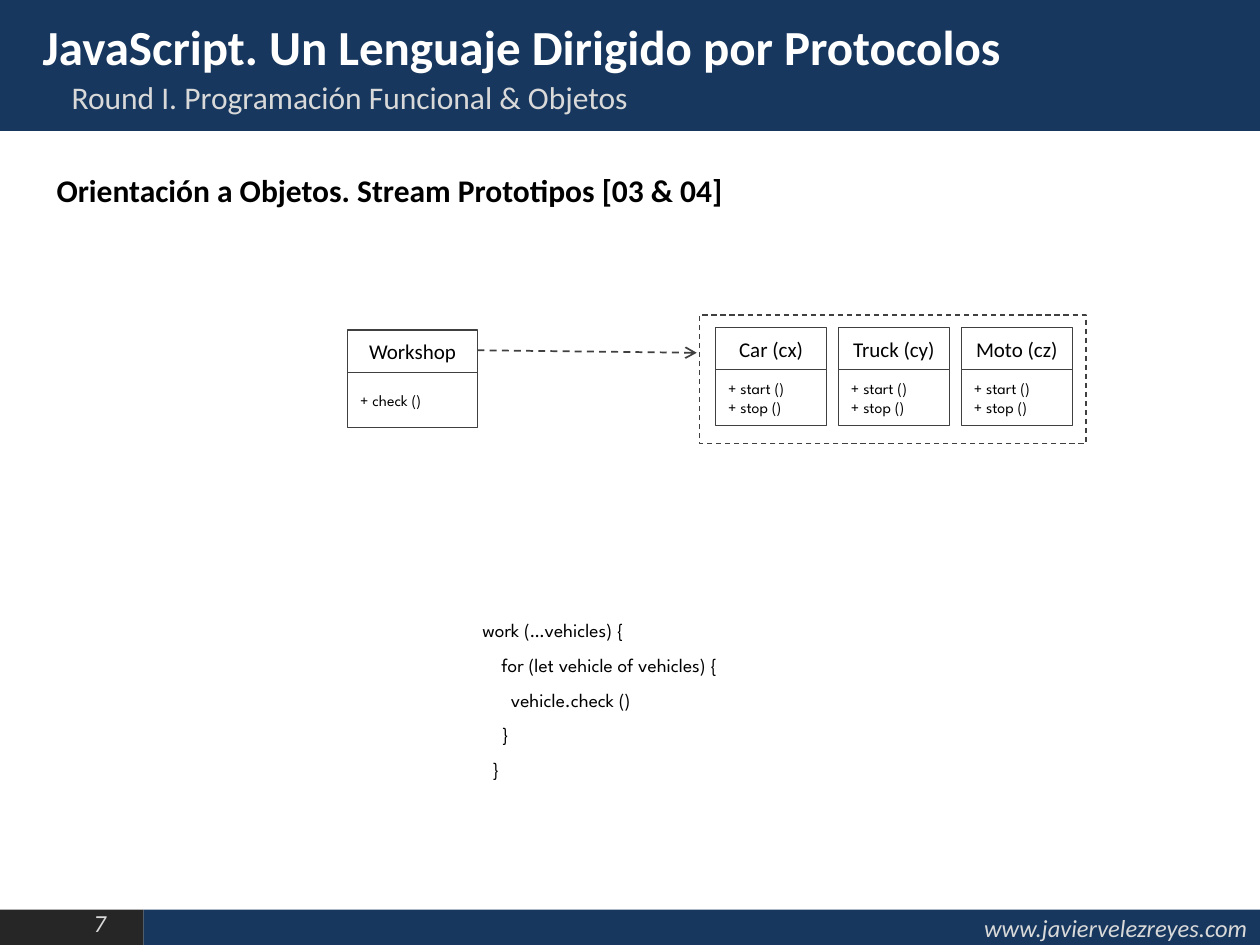
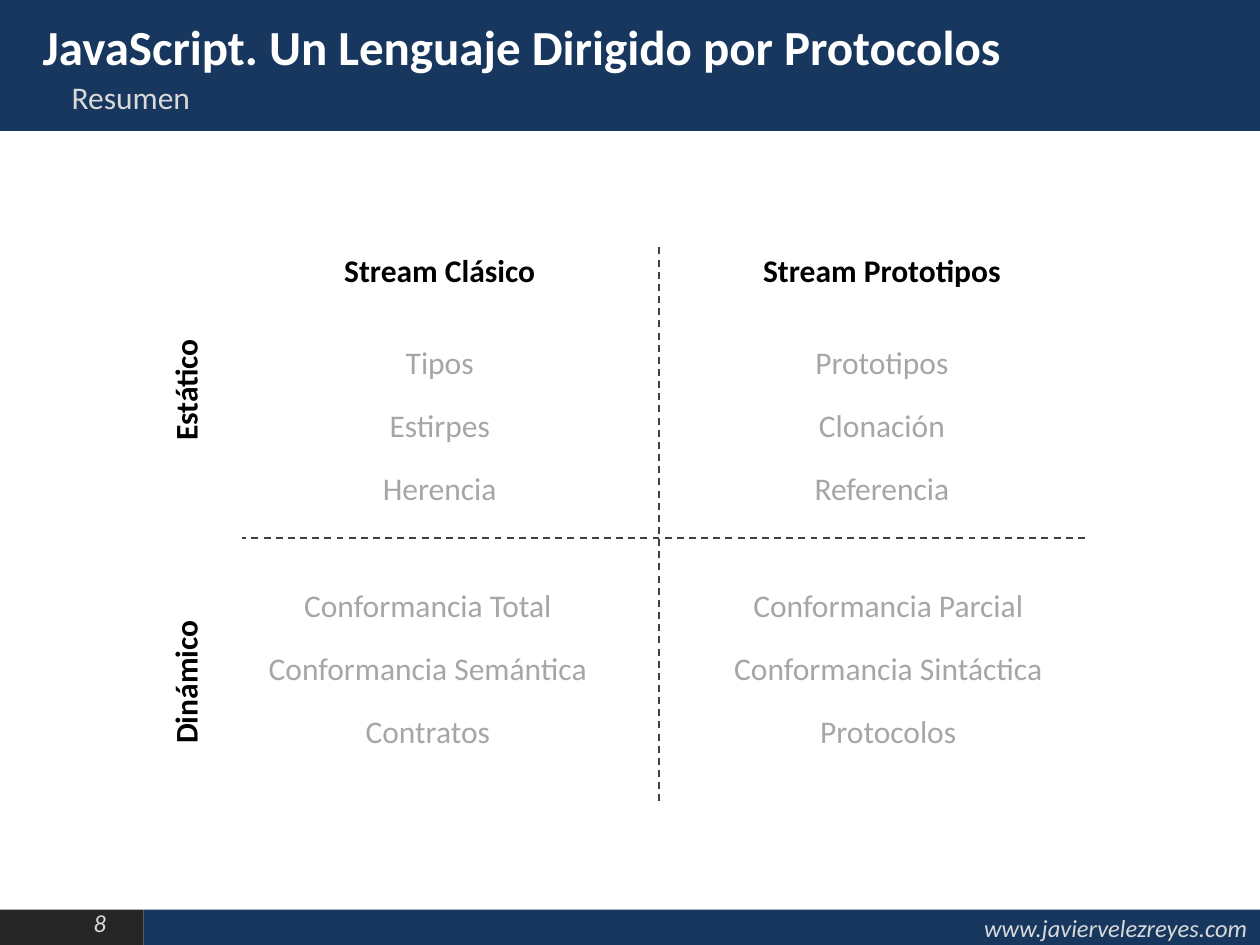
from lxml import etree
from pptx import Presentation
from pptx.dml.color import RGBColor
from pptx.enum.dml import MSO_LINE
from pptx.enum.shapes import MSO_CONNECTOR, MSO_SHAPE
from pptx.enum.text import MSO_ANCHOR, PP_ALIGN
from pptx.oxml.ns import qn
from pptx.util import Inches, Pt

LEFT, CENTER, RIGHT = PP_ALIGN.LEFT, PP_ALIGN.CENTER, PP_ALIGN.RIGHT
TOP, MIDDLE = MSO_ANCHOR.TOP, MSO_ANCHOR.MIDDLE
DASH = MSO_LINE.DASH
RECT = MSO_SHAPE.RECTANGLE
STRAIGHT = MSO_CONNECTOR.STRAIGHT

WIDTH, HEIGHT = Inches(10), Inches(7.5)
COLUMNS, ROWS = 100, 75

COLORS = {
    "navy": "17375E",
    "dark": "262626",
    "line": "404040",
    "pale": "D9D9D9",
    "muted": "A6A6A6",
    "black": "000000",
    "white": "FFFFFF",
}
BODY_FONT, CODE_FONT = "Calibri", "League Spartan"

TITLE = "JavaScript. Un Lenguaje Dirigido por Protocolos"
SITE = "www.javiervelezreyes.com"

CODE = [
    "work (…vehicles) {",
    "    for (let vehicle of vehicles) {",
    "      vehicle.check ()",
    "    }",
    "  }",
]
VEHICLES = ["Car (cx)", "Truck (cy)", "Moto (cz)"]
STREAMS = ["Stream Clásico", "Stream Prototipos"]
KINDS = ["Estático", "Dinámico"]
TOPICS = [
    [["Tipos", "Estirpes", "Herencia"],
     ["Prototipos", "Clonación", "Referencia"]],
    [["Conformancia Total", "Conformancia Semántica", "Contratos"],
     ["Conformancia Parcial", "Conformancia Sintáctica", "Protocolos"]],
]


def rgb(name):
    return RGBColor.from_string(COLORS[name])


def across(columns):
    return round(WIDTH * columns / COLUMNS)


def down(rows):
    return round(HEIGHT * rows / ROWS)


def place(x, y, w, h):
    return across(x), down(y), across(w), down(h)


def style_line(line, width, dash=None):
    line.color.rgb = rgb("line")
    line.width = Pt(width)
    if dash is not None:
        line.dash_style = dash


def write(sp, lines, size, color="black", font=BODY_FONT, align=LEFT,
          anchor=TOP, bold=False, italic=False, spacing=None, before=0):
    tf = sp.text_frame
    tf.word_wrap = True
    tf.vertical_anchor = anchor
    for i, line in enumerate(lines):
        p = tf.add_paragraph() if i else tf.paragraphs[0]
        p.text = line
        p.alignment = align
        p.space_before = Pt(before if i else 0)
        if spacing:
            p.line_spacing = spacing
        p.font.name = font
        p.font.size = Pt(size)
        p.font.bold = bold
        p.font.italic = italic
        p.font.color.rgb = rgb(color)


def add_text(slide, box, lines, size, rotation=0, **style):
    sp = slide.shapes.add_textbox(*place(*box))
    sp.rotation = rotation
    write(sp, lines, size, **style)


def add_box(slide, box, fill=None, width=None, dash=None):
    sp = slide.shapes.add_shape(RECT, *place(*box))
    sp.shadow.inherit = False
    if fill:
        sp.fill.solid()
        sp.fill.fore_color.rgb = rgb(fill)
    else:
        sp.fill.background()
    if width:
        style_line(sp.line, width, dash)
    else:
        sp.line.fill.background()
    return sp


def add_dashed_line(slide, x1, y1, x2, y2, arrow=False):
    c = slide.shapes.add_connector(STRAIGHT, across(x1), down(y1), across(x2), down(y2))
    style_line(c.line, 1, DASH)
    sp_pr = c.element.spPr
    if arrow:
        etree.SubElement(sp_pr.find(qn("a:ln")), qn("a:tailEnd"), type="arrow")
    etree.SubElement(sp_pr, qn("a:effectLst"))


def add_class(slide, x, y, w, name, methods):
    name_h, methods_h = 3.35, 4.4
    sp = add_box(slide, (x, y + name_h, w, methods_h), "white", 0.75)
    write(sp, methods, 9, font=CODE_FONT, anchor=MIDDLE)
    sp = add_box(slide, (x, y, w, name_h), "white", 0.75)
    write(sp, [name], 12, align=CENTER, anchor=MIDDLE)


def add_slide(prs, number, subtitle):
    slide = prs.slides.add_slide(prs.slide_layouts[6])
    split, footer_y, footer_h = 11.4, 72.2, 2.8
    add_box(slide, (0, footer_y, split, footer_h), "dark")
    sp = add_box(slide, (split, footer_y, COLUMNS - split, footer_h), "navy")
    write(sp, [SITE], 14, "pale", align=RIGHT, anchor=MIDDLE, italic=True)
    add_box(slide, (0, 0, COLUMNS, 10.4), "navy")
    add_text(slide, (1.2, 71.6, 8.2, 3.4), [str(number)], 14,
             color="pale", align=RIGHT, italic=True)
    add_text(slide, (4.7, 5.7, 91.8, 3.9), [subtitle], 18, color="pale")
    add_text(slide, (2.4, 0.8, 94.1, 4.7), [TITLE], 28, color="white", bold=True)
    return slide


def build_prototypes(prs):
    slide = add_slide(prs, 7, "Round I. Programación Funcional & Objetos")
    add_text(slide, (3.5, 13.1, 58.1, 3.9),
             ["Orientación a Objetos. Stream Prototipos [03 & 04]"], 18, bold=True)
    add_box(slide, (55.5, 25, 30.7, 10.2), width=0.75, dash=DASH)
    for i, vehicle in enumerate(VEHICLES):
        add_class(slide, 56.8 + 9.75 * i, 26, 8.8, vehicle, ["+ start ()", "+ stop ()"])
    add_class(slide, 27.6, 26.2, 10.3, "Workshop", ["+ check ()"])
    add_dashed_line(slide, 37.9, 27.8, 55.3, 28, arrow=True)
    add_text(slide, (37.3, 46.2, 26.6, 17.7), CODE, 11,
             font=CODE_FONT, anchor=MIDDLE, spacing=1.5)


def build_summary(prs):
    slide = add_slide(prs, 8, "Resumen")
    add_dashed_line(slide, 52.3, 63.6, 52.3, 19.5)
    add_dashed_line(slide, 86.1, 42.7, 19.2, 42.7)
    stream_x, stream_w = (21.9, 57), 26
    for x, stream in zip(stream_x, STREAMS):
        add_text(slide, (x, 19.4, stream_w, 3.9), [stream], 18, align=CENTER, bold=True)
    topic_boxes = [
        [(x, 25.2, stream_w, 15.7) for x in stream_x],
        [(20, 44.5, 27.9, 15.7), (57, 44.5, 27, 15.7)],
    ]
    for row, kind in enumerate(KINDS):
        add_text(slide, (3.2, 29 + 23.2 * row, 22.9, 3.9), [kind], 18,
                 rotation=270, align=CENTER, bold=True)
        for box, topics in zip(topic_boxes[row], TOPICS[row]):
            add_text(slide, box, topics, 18, color="muted", align=CENTER,
                     spacing=1.5, before=3.6)


def main():
    prs = Presentation()
    prs.slide_width, prs.slide_height = WIDTH, HEIGHT
    build_prototypes(prs)
    build_summary(prs)
    prs.save("out.pptx")


if __name__ == "__main__":
    main()
